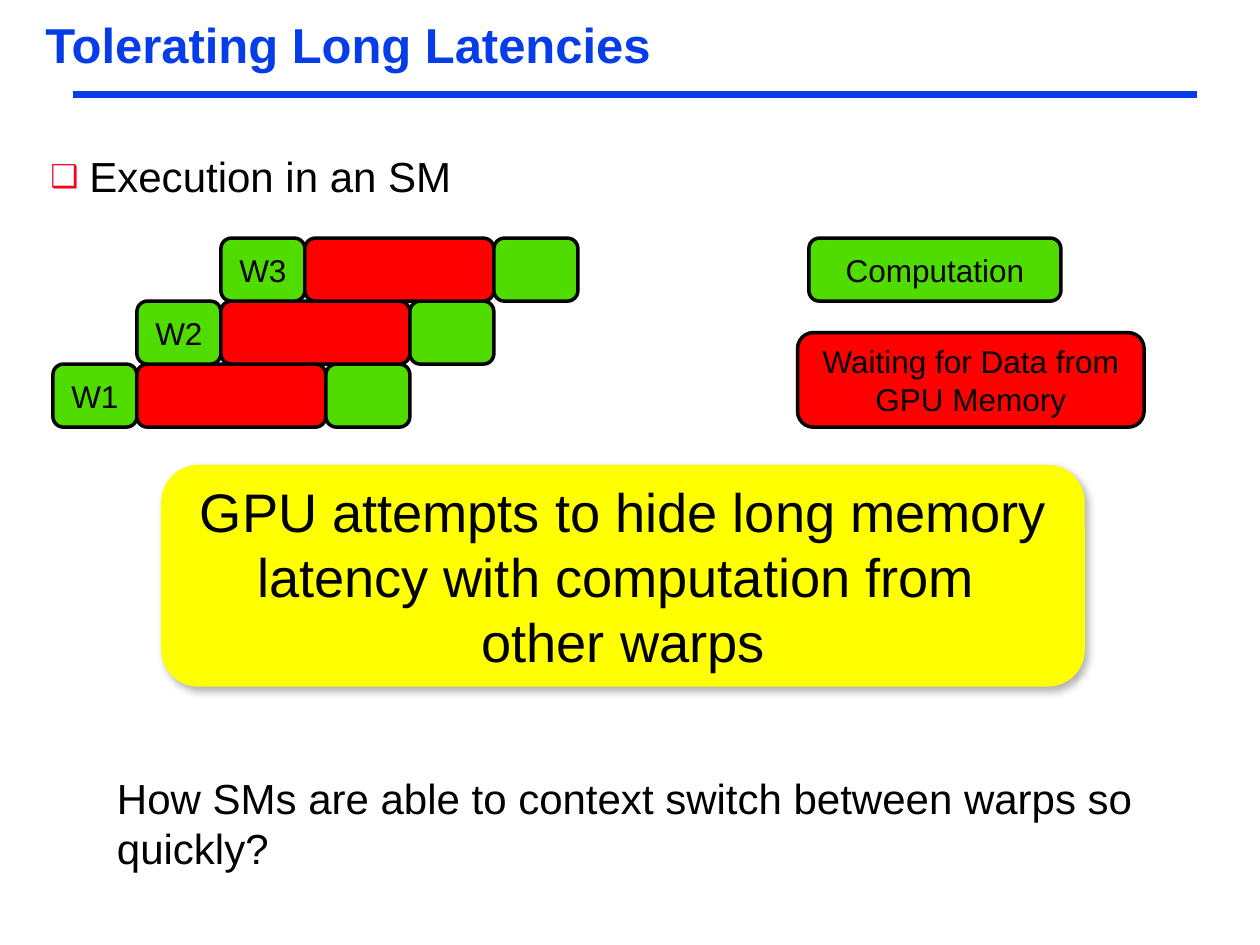
from lxml.etree import SubElement
from pptx import Presentation
from pptx.dml.color import RGBColor
from pptx.enum.shapes import MSO_CONNECTOR, MSO_SHAPE
from pptx.enum.text import MSO_ANCHOR as ANCHOR, MSO_AUTO_SIZE as FIT, PP_ALIGN as ALIGN
from pptx.oxml import parse_xml
from pptx.oxml.ns import nsdecls, qn
from pptx.util import Inches, Pt

COLORS = {
    "blue": "063DE8",
    "bullet": "FC0128",
    "compute": "51DC00",
    "wait": "FF0000",
    "callout": "FFFF00",
    "black": "000000",
}
COMPUTE_W, WAIT_W, ROW_H = 2 / 3, 1.5, 0.5


def color(name):
    """Look up a named colour."""
    return RGBColor.from_string(COLORS[name])


def add_text(paragraph, text, size, ink="black", bold=False):
    """Append one Arial run to a paragraph."""
    run = paragraph.add_run()
    run.text = text
    run.font.name = "Arial"
    run.font.size = Pt(size)
    run.font.bold = bold
    run.font.color.rgb = color(ink)


def set_tight_margins(frame):
    """Give a text frame the narrow margins of the title and outline."""
    frame.margin_left = frame.margin_right = Inches(0.07)
    frame.margin_top = frame.margin_bottom = Inches(0.03)


def add_block(slide, box, fill, lines=(), size=18, outlined=True):
    """Draw a rounded block with centred lines of text."""
    block = slide.shapes.add_shape(MSO_SHAPE.ROUNDED_RECTANGLE, *map(Inches, box))
    block.shadow.inherit = False
    block.fill.solid()
    block.fill.fore_color.rgb = color(fill)
    if outlined:
        block.line.color.rgb = color("black")
        block.line.width = Pt(2)
    else:
        block.line.fill.background()
    frame = block.text_frame
    frame.word_wrap = True
    frame.vertical_anchor = ANCHOR.MIDDLE
    for index, line in enumerate(lines):
        paragraph = frame.add_paragraph() if index else frame.paragraphs[0]
        paragraph.alignment = ALIGN.CENTER
        add_text(paragraph, line, size)
    return block


def add_text_box(slide, box):
    """Add a wrapping text box and return its frame."""
    frame = slide.shapes.add_textbox(*map(Inches, box)).text_frame
    frame.word_wrap = True
    return frame


def add_header(slide, box):
    """Place the title and the rule beneath it."""
    title = slide.shapes.title
    title.left, title.top, title.width, title.height = map(Inches, box)
    frame = title.text_frame
    set_tight_margins(frame)
    frame.auto_size = FIT.NONE
    frame.vertical_anchor = ANCHOR.MIDDLE
    heading = frame.paragraphs[0]
    heading.alignment = ALIGN.LEFT
    heading.line_spacing = 0.87
    add_text(heading, "Tolerating Long Latencies", 28, "blue", True)

    rule_y = Inches(0.75)
    rule = slide.shapes.add_connector(
        MSO_CONNECTOR.STRAIGHT, Inches(0.58), rule_y, Inches(9.5), rule_y)
    rule.line.color.rgb = color("blue")
    rule.line.width = Pt(4.5)
    SubElement(rule.element.spPr, qn("a:effectLst"))


def add_topic(slide, box):
    """Write the bulleted topic line."""
    frame = add_text_box(slide, box)
    set_tight_margins(frame)
    topic = frame.paragraphs[0]
    topic.line_spacing = 0.9
    properties = topic._p.get_or_add_pPr()
    properties.set("marL", str(Inches(0.31)))
    properties.set("indent", str(-Inches(0.31)))
    bullet_color = SubElement(properties, qn("a:buClr"))
    SubElement(bullet_color, qn("a:srgbClr"), val=COLORS["bullet"])
    SubElement(properties, qn("a:buSzPct"), val="75000")
    SubElement(properties, qn("a:buFont"), typeface="Arial")
    SubElement(properties, qn("a:buChar"), char="❑")
    add_text(topic, "Execution in an SM", 24)


def add_timeline(slide, left, top, warps):
    """Stack the warps upwards, each starting one computation later."""
    for index, warp in enumerate(warps):
        x = left + index * COMPUTE_W
        y = top + (len(warps) - 1 - index) * ROW_H
        phases = (("compute", COMPUTE_W, [warp]), ("wait", WAIT_W, []),
                  ("compute", COMPUTE_W, []))
        for fill, width, lines in phases:
            add_block(slide, (x, y, width, ROW_H), fill, lines)
            x += width


def add_legend(slide, left, top):
    """Explain the two block colours."""
    add_block(slide, (left + 0.09, top, 2, ROW_H), "compute", ["Computation"])
    add_block(slide, (left, top + 0.75, 2.75, 0.75), "wait",
              ["Waiting for Data from GPU Memory"])


def add_callout(slide, box):
    """State the main point on a softly shadowed panel."""
    lines = ["GPU attempts to hide long memory latency with computation from ",
             "other warps"]
    panel = add_block(slide, box, "callout", lines, 31, outlined=False)
    effects = panel.element.spPr.find(qn("a:effectLst"))
    effects.append(parse_xml(
        f'<a:outerShdw {nsdecls("a")} blurRad="{Pt(4.5)}" dist="{Pt(2.6)}" '
        f'dir="{53 * 60000}" rotWithShape="0"><a:srgbClr val="{COLORS["black"]}">'
        '<a:alpha val="30000"/></a:srgbClr></a:outerShdw>'))


def add_question(slide, box):
    """Ask the closing question."""
    frame = add_text_box(slide, box)
    add_text(frame.paragraphs[0],
             "How SMs are able to context switch between warps so quickly?", 24)


def main():
    """Build and save the slide."""
    deck = Presentation()
    deck.slide_width, deck.slide_height = Inches(10), Inches(7.5)
    slide = deck.slides.add_slide(deck.slide_layouts[5])
    add_header(slide, (0.29, 0.15, 8.92, 0.46))
    add_topic(slide, (0.33, 1.21, 8.92, 0.42))
    add_timeline(slide, 0.42, 1.89, ["W1", "W2", "W3"])
    add_legend(slide, 6.33, 1.89)
    add_callout(slide, (1.28, 3.69, 7.33, 1.76))
    add_question(slide, (0.83, 6.08, 8.58, 0.91))
    deck.save("out.pptx")


if __name__ == "__main__":
    main()
